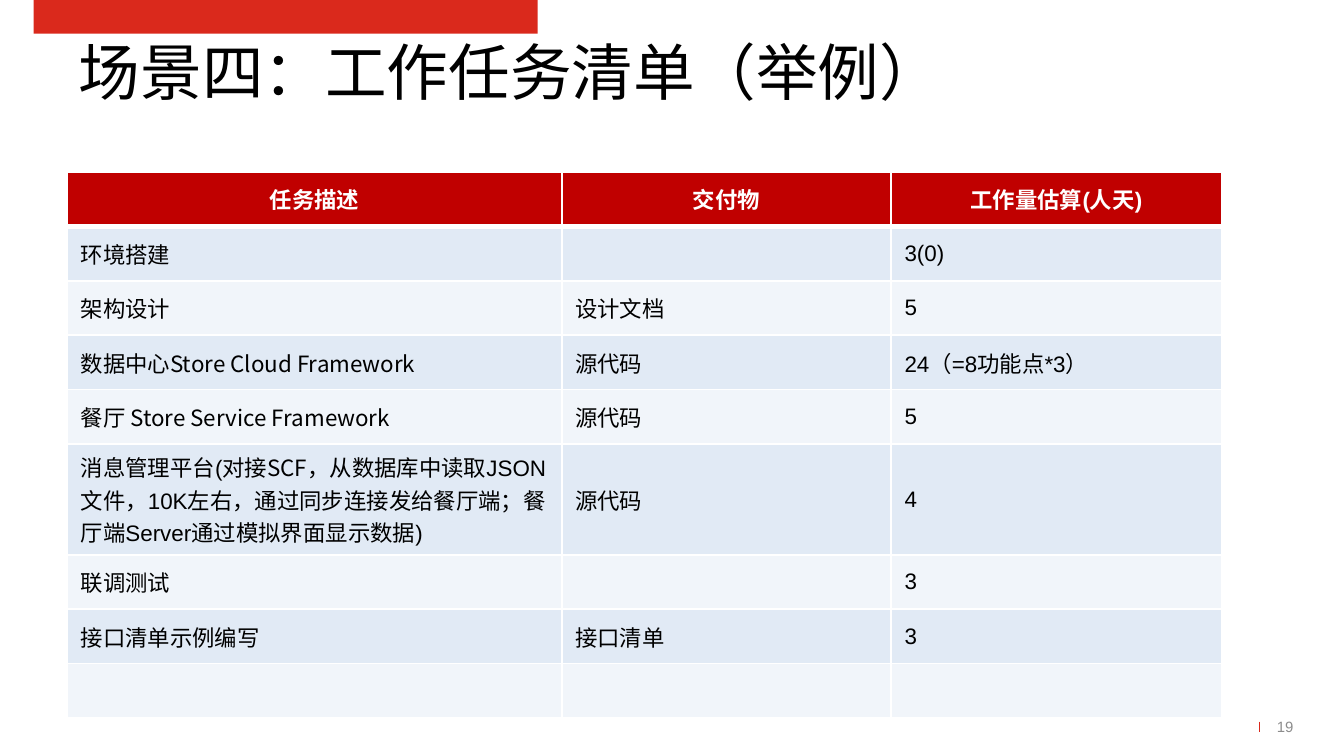
from dataclasses import dataclass

import pptx
import pptx.dml.color
import pptx.enum.shapes
import pptx.enum.text
import pptx.oxml.ns
import pptx.util
from lxml import etree

PX = 914400 // 200  # 200 px to the inch
COLORS = {
    "accent": "DA291C",
    "header": "C00000",
    "band_dark": "E1EAF5",
    "band_light": "F1F5FA",
    "text": "000000",
    "white": "FFFFFF",
    "muted": "8C8C8C",
}
LATIN = "Arial"
CJK = "Noto Sans CJK SC"
ALIGN = pptx.enum.text.PP_ALIGN
ANCHOR = pptx.enum.text.MSO_ANCHOR
COLUMN_WIDTHS = (736, 490, 492)
ROW_HEIGHT = 81
TALL_ROW_HEIGHT = 165  # holds three lines


@dataclass
class Span:
    text: str
    font: str = LATIN


@dataclass
class Task:
    description: list[Span]
    deliverable: str
    effort: str
    height: int = ROW_HEIGHT


@dataclass
class Label:
    text: str
    frame: tuple[int, int, int, int]
    size: int
    color: str
    align: ALIGN
    anchor: ANCHOR


HEADINGS = ("任务描述", "交付物", "工作量估算(人天)")
TASKS = [
    Task([Span("环境搭建", CJK)], "", "3(0)"),
    Task([Span("架构设计", CJK)], "设计文档", "5"),
    Task([Span("数据中心"), Span("Store Cloud Framework", CJK)], "源代码", "24（=8功能点*3）"),
    Task([Span("餐厅 Store Service Framework", CJK)], "源代码", "5"),
    Task(
        [
            Span("消息管理平台(对接"),
            Span("SCF，", CJK),
            Span("从数据库中读取JSON文件，10K左右，通过同步连接发给餐厅端；"
                 "餐厅端Server通过模拟界面显示数据)"),
        ],
        "源代码",
        "4",
        TALL_ROW_HEIGHT,
    ),
    Task([Span("联调测试")], "", "3"),
    Task([Span("接口清单示例编写")], "接口清单", "3"),
    Task([], "", ""),
]
LABELS = [
    Label("场景四：工作任务清单（举例）", (50, 60, 1418, 100), 33, "text", ALIGN.CENTER, ANCHOR.BOTTOM),
    Label("19", (1900, 1056, 50, 50), 8, "muted", ALIGN.LEFT, ANCHOR.MIDDLE),
]


def rgb(name: str) -> pptx.dml.color.RGBColor:
    return pptx.dml.color.RGBColor.from_string(COLORS[name])


def px(*lengths: int) -> list[int]:
    return [length * PX for length in lengths]


def set_values(target, values: dict) -> None:
    for name, value in values.items():
        setattr(target, name, value)


def add_spans(para, spans: list[Span], size: int, color: str, bold: bool = False) -> None:
    for item in spans:
        span = para.add_run()
        span.text = item.text
        set_values(span.font, {"name": item.font, "size": pptx.util.Pt(size), "bold": bold})
        span.font.color.rgb = rgb(color)


def add_label(page, label: Label) -> None:
    box = page.shapes.add_textbox(*px(*label.frame))
    set_values(box.text_frame, {
        "word_wrap": True, "vertical_anchor": label.anchor,
        "margin_left": 0, "margin_top": 0, "margin_right": 0, "margin_bottom": 0,
    })
    para = box.text_frame.paragraphs[0]
    para.alignment = label.align
    add_spans(para, [Span(label.text)], label.size, label.color)


def set_borders(cell, widths: dict[str, int]) -> None:
    qn = pptx.oxml.ns.qn
    properties = cell._tc.get_or_add_tcPr()
    for index, (side, width) in enumerate(widths.items()):
        line = etree.Element(qn(f"a:{side}"), w=str(pptx.util.Pt(width)))
        fill = etree.SubElement(line, qn("a:solidFill"))
        etree.SubElement(fill, qn("a:srgbClr"), val=COLORS["white"])
        properties.insert(index, line)


def fill_cell(cell, spans: list[Span], row: int) -> None:
    heading = row == 0
    fill = "header" if heading else ("band_light", "band_dark")[row % 2]
    cell.fill.solid()
    cell.fill.fore_color.rgb = rgb(fill)
    cell.vertical_anchor = ANCHOR.MIDDLE
    para = cell.text_frame.paragraphs[0]
    para.alignment = ALIGN.CENTER if heading else ALIGN.LEFT
    add_spans(para, spans, 12, "white" if heading else "text", heading)
    # The rule between the heading and the first task is heavier
    set_borders(cell, {"lnL": 1, "lnR": 1, "lnT": 3 if row == 1 else 1, "lnB": 3 if heading else 1})


def add_task_table(page) -> None:
    rows = [[[Span(text)] for text in HEADINGS]]
    for task in TASKS:
        others = [[Span(text)] if text else [] for text in (task.deliverable, task.effort)]
        rows.append([task.description, *others])
    heights = [ROW_HEIGHT, *(task.height for task in TASKS)]
    frame = px(100, 256, sum(COLUMN_WIDTHS), sum(heights))
    table = page.shapes.add_table(len(rows), len(COLUMN_WIDTHS), *frame).table
    for column, width in zip(table.columns, COLUMN_WIDTHS):
        column.width = width * PX
    for index, (cells, height) in enumerate(zip(rows, heights)):
        table.rows[index].height = height * PX
        for column, spans in enumerate(cells):
            fill_cell(table.cell(index, column), spans, index)


def add_accent_bar(page) -> None:
    bar = page.shapes.add_shape(pptx.enum.shapes.MSO_SHAPE.RECTANGLE, *px(50, 0, 750, 50))
    bar.shadow.inherit = False
    bar.fill.solid()
    bar.fill.fore_color.rgb = rgb("accent")
    bar.line.fill.background()


def add_page_rule(page) -> None:
    rule = page.shapes.add_connector(
        pptx.enum.shapes.MSO_CONNECTOR.STRAIGHT, *px(1874, 1074, 1874, 1090))
    rule.line.color.rgb = rgb("accent")
    rule.line.width = pptx.util.Pt(0.5)
    etree.SubElement(rule._element.spPr, pptx.oxml.ns.qn("a:effectLst"))


def main() -> None:
    deck = pptx.Presentation()
    deck.slide_width, deck.slide_height = px(2000, 1125)
    page = deck.slides.add_slide(deck.slide_layouts[6])
    # Banner, title and page number
    add_accent_bar(page)
    for label in LABELS:
        add_label(page, label)
    add_page_rule(page)
    # Task list
    add_task_table(page)
    deck.save("out.pptx")


if __name__ == "__main__":
    main()
